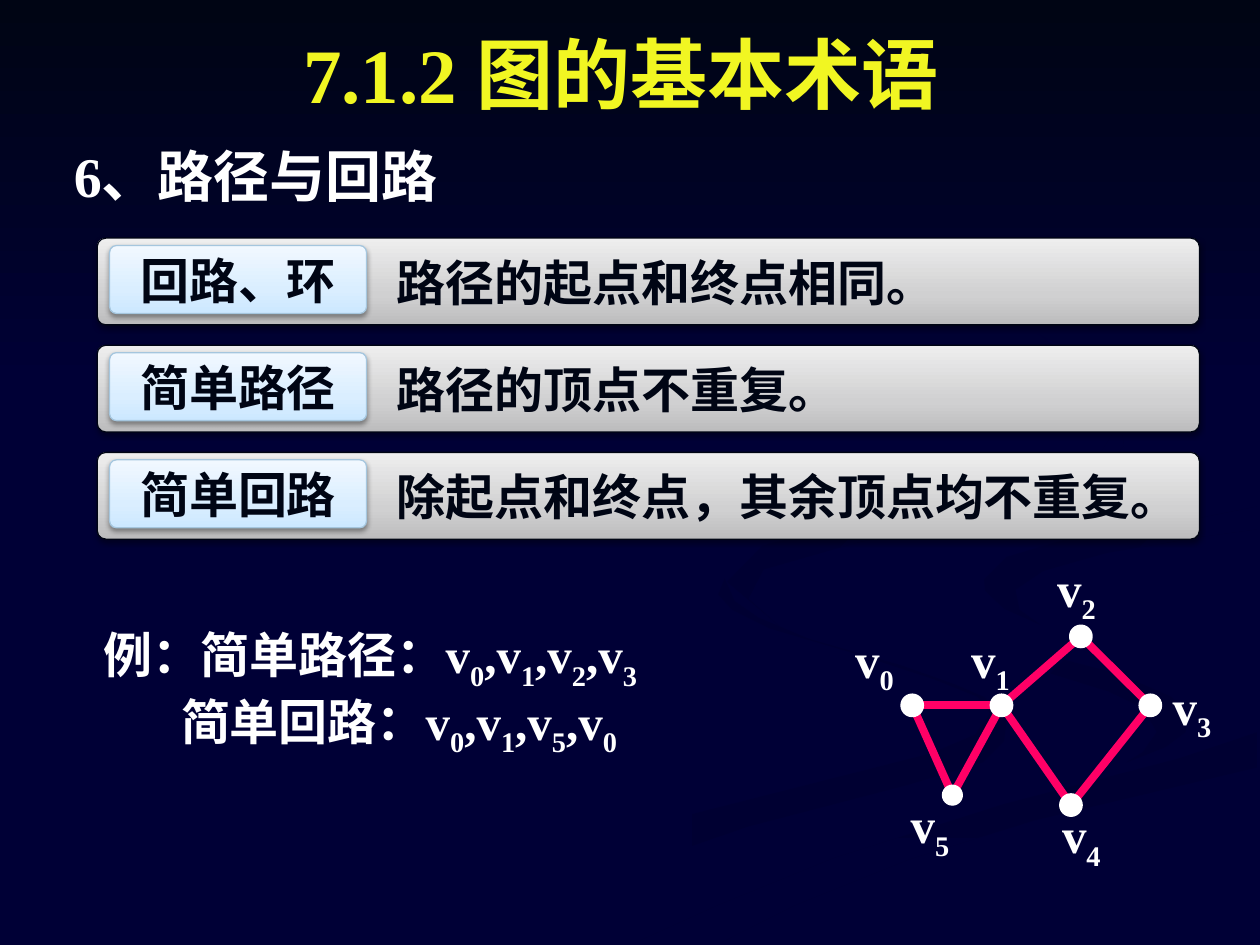
"""Build the slide on paths and circuits in graphs."""
from dataclasses import dataclass

from lxml.etree import SubElement
from pptx import Presentation
from pptx.dml.color import RGBColor
from pptx.enum.shapes import MSO_CONNECTOR, MSO_SHAPE
from pptx.enum.text import MSO_ANCHOR, MSO_AUTO_SIZE, PP_ALIGN
from pptx.oxml.ns import qn
from pptx.util import Cm, Pt

NAVY = RGBColor(0x00, 0x00, 0x36)
DEEP_NAVY = RGBColor(0x00, 0x00, 0x32)
INK = RGBColor(0x00, 0x05, 0x14)
YELLOW = RGBColor(0xF1, 0xF6, 0x22)
WHITE = RGBColor(0xFF, 0xFF, 0xFF)
PINK = RGBColor(0xFF, 0x00, 0x66)
TAG_EDGE = RGBColor(0xA5, 0xC6, 0xDE)
GREYS = ((0, RGBColor(0xBC, 0xBC, 0xBD)), (35, RGBColor(0xD0, 0xD0, 0xD1)),
         (100, RGBColor(0xEE, 0xEE, 0xEE)))
BLUES = ((0, RGBColor(0xCC, 0xE8, 0xFF)), (35, RGBColor(0xDA, 0xEE, 0xFF)),
         (100, RGBColor(0xF1, 0xF8, 0xFF)))
SKY = ((0, INK), (41, NAVY), (100, NAVY))
FONT = "Times New Roman"


@dataclass(frozen=True)
class Swoosh:
    outline: tuple
    angle: int
    stops: tuple = ((0, NAVY), (100, DEEP_NAVY))


@dataclass(frozen=True)
class Term:
    name: str
    meaning: str


@dataclass(frozen=True)
class Vertex:
    x: float
    y: float
    label_x: float
    label_y: float
    edge_width: float = 2.25


@dataclass(frozen=True)
class Example:
    lead: str
    indices: str
    indent: float


DARK_FIRST = ((0, DEEP_NAVY), (100, NAVY))
SWOOSHES = (
    Swoosh(((1984, 1405), (1923, 1379), (1816, 1341), (1631, 1288), (1529, 1245), (1481, 1212),
            (1461, 1166), (1448, 1199), (1476, 1229), (1552, 1267), (1725, 1318), (1882, 1369),
            (1971, 1405), (1996, 1438), (1966, 1481), (1877, 1519), (1656, 1575), (1369, 1648),
            (1059, 1753), (762, 1902), (917, 1902), (1184, 1778), (1509, 1666), (1831, 1582),
            (1981, 1537), (2024, 1494), (2029, 1455)), 0),
    Swoosh(((2395, 1448), (2362, 1405), (2256, 1359), (2060, 1308), (1925, 1265), (1862, 1227),
            (1839, 1179), (1847, 1217), (1895, 1270), (1984, 1316), (2129, 1361), (2235, 1394),
            (2304, 1427), (2332, 1476), (2304, 1516), (2271, 1537), (2350, 1506),
            (2390, 1476)), 45),
    Swoosh(((1278, 1902), (1450, 1902), (1600, 1826), (1834, 1732), (2085, 1654), (2535, 1547),
            (2535, 1476), (2377, 1529), (2024, 1621), (1681, 1730), (1445, 1826)),
           90, DARK_FIRST),
    Swoosh(((1984, 1168), (1986, 1191), (2024, 1227), (2098, 1260), (2055, 1229), (2047, 1189),
            (2103, 1151), (2230, 1115), (2423, 1082), (2535, 1067), (2535, 1021), (2370, 1054),
            (2156, 1085), (2029, 1123)), 45, DARK_FIRST),
    Swoosh(((1735, 1092), (1996, 1046), (2172, 993), (2266, 899), (2250, 803), (2141, 699),
            (1935, 592), (2098, 676), (2225, 777), (2258, 851), (2210, 927), (2078, 980),
            (1717, 1052), (1537, 1100), (1466, 1173), (1580, 1270), (1509, 1207),
            (1539, 1148)), 45, DARK_FIRST),
)
TERMS = (
    Term("回路、环", "路径的起点和终点相同。"),
    Term("简单路径", "路径的顶点不重复。"),
    Term("简单回路", "除起点和终点，其余顶点均不重复。"),
)
VERTICES = (
    Vertex(18.39, 14.22, 16.99, 12.57),
    Vertex(20.19, 14.22, 19.33, 12.57),
    Vertex(21.79, 12.83, 21.06, 11.13),
    Vertex(23.19, 14.22, 23.39, 13.51),
    Vertex(21.59, 16.23, 21.16, 16.1),
    Vertex(19.2, 16.03, 18.11, 15.9, 0.75),
)
EDGES = ((0, 1), (1, 4), (4, 3), (2, 3), (2, 1), (5, 0), (5, 1))
EXAMPLES = (Example("例：简单路径：", "0123", 0), Example("简单回路：", "0150", 1.57))


def set_gradient(fill, owner, stops: tuple, angle: int) -> None:
    fill.gradient()
    fill.gradient_angle = (360 - angle) % 360
    stop_list = next(owner.iter(qn("a:gsLst")))
    for old in list(stop_list):
        stop_list.remove(old)
    for position, color in stops:
        stop = SubElement(stop_list, qn("a:gs"), pos=str(position * 1000))
        SubElement(stop, qn("a:srgbClr"), val=str(color))


def add_run(paragraph, words: str, color: RGBColor, size: float = 28, subscript=False) -> None:
    run = paragraph.add_run()
    run.text = words
    run.font.name = FONT
    run.font.size = Pt(size)
    run.font.bold = True
    run.font.color.rgb = color
    if subscript:
        run.font._element.set("baseline", "-25000")


def add_vertex_name(paragraph, index: str, prefix: str = "") -> None:
    add_run(paragraph, prefix + "v", WHITE)
    add_run(paragraph, index, WHITE, subscript=True)


def add_swoosh(shapes, swoosh: Swoosh) -> None:
    start, *rest = swoosh.outline
    builder = shapes.build_freeform(*start, scale=Cm(0.01))
    builder.add_line_segments(rest)
    ribbon = builder.convert_to_shape()
    ribbon.shadow.inherit = False
    ribbon.line.fill.background()
    set_gradient(ribbon.fill, ribbon._element, swoosh.stops, swoosh.angle)


def add_panel(shapes, box: tuple, words: str, stops: tuple, edge: RGBColor, align):
    panel = shapes.add_shape(MSO_SHAPE.ROUNDED_RECTANGLE, *map(Cm, box))
    panel.adjustments[0] = 0.1
    set_gradient(panel.fill, panel._element, stops, 270)
    panel.line.color.rgb = edge
    panel.line.width = Pt(0.75)
    panel.shadow.inherit = False
    effects = panel._element.spPr.find(qn("a:effectLst"))
    shadow = SubElement(effects, qn("a:outerShdw"), blurRad=str(Pt(3.1)), dist=str(Pt(1.6)),
                        dir="5400000", rotWithShape="0")
    tint = SubElement(shadow, qn("a:srgbClr"), val="000000")
    SubElement(tint, qn("a:alpha"), val="38000")
    panel.text_frame.vertical_anchor = MSO_ANCHOR.MIDDLE
    paragraph = panel.text_frame.paragraphs[0]
    paragraph.alignment = align
    add_run(paragraph, words, INK)
    return panel


def add_term(shapes, term: Term, top: float) -> None:
    bar = add_panel(shapes, (1.96, top, 22.22, 1.75), term.meaning, GREYS, INK, PP_ALIGN.LEFT)
    bar.text_frame.margin_left = Cm(5.99)
    bar.text_frame.margin_right = Cm(0.3)
    add_panel(shapes, (2.21, top + 0.15, 5.18, 1.37), term.name, BLUES, TAG_EDGE,
              PP_ALIGN.CENTER)


def add_edge(shapes, begin: Vertex, end: Vertex) -> None:
    edge = shapes.add_connector(MSO_CONNECTOR.STRAIGHT, Cm(begin.x), Cm(begin.y),
                                Cm(end.x), Cm(end.y))
    edge.line.color.rgb = PINK
    edge.line.width = Pt(4.5)
    SubElement(edge._element.spPr, qn("a:effectLst"))


def add_vertex(shapes, vertex: Vertex, index: int) -> None:
    dot = shapes.add_shape(MSO_SHAPE.OVAL, Cm(vertex.x - 0.2), Cm(vertex.y - 0.2),
                           Cm(0.4), Cm(0.4))
    dot.shadow.inherit = False
    dot.fill.solid()
    dot.fill.fore_color.rgb = WHITE
    dot.line.color.rgb = WHITE
    dot.line.width = Pt(vertex.edge_width)
    label = shapes.add_textbox(Cm(vertex.label_x), Cm(vertex.label_y), Cm(1.35), Cm(1.45))
    label.text_frame.word_wrap = False
    label.text_frame.auto_size = MSO_AUTO_SIZE.SHAPE_TO_FIT_TEXT
    add_vertex_name(label.text_frame.paragraphs[0], str(index))


def add_example(paragraph, example: Example) -> None:
    paragraph._p.get_or_add_pPr().set("marL", str(Cm(example.indent)))
    add_run(paragraph, example.lead, WHITE)
    for place, index in enumerate(example.indices):
        add_vertex_name(paragraph, index, "," if place else "")


def main() -> None:
    deck = Presentation()
    deck.slide_width, deck.slide_height = Cm(25.4), Cm(19.05)
    slide = deck.slides.add_slide(deck.slide_layouts[5])
    shapes = slide.shapes
    set_gradient(slide.background.fill, slide._element, SKY, 90)
    for swoosh in SWOOSHES:
        add_swoosh(shapes, swoosh)

    title = shapes.title
    title.left, title.top, title.width, title.height = map(Cm, (1.09, 0.41, 22.86, 2.72))
    title.text_frame.vertical_anchor = MSO_ANCHOR.TOP
    title.text_frame.paragraphs[0].alignment = PP_ALIGN.CENTER
    add_run(title.text_frame.paragraphs[0], "7.1.2 图的基本术语", YELLOW, 44)

    section = shapes.add_textbox(*map(Cm, (1.24, 2.72, 22.86, 1.8)))
    section.text_frame.word_wrap = True
    add_run(section.text_frame.paragraphs[0], "6、路径与回路", WHITE, 32)

    for row, term in enumerate(TERMS):
        add_term(shapes, term, 4.8 + 2.16 * row)

    graph = shapes.add_group_shape().shapes
    for begin, end in EDGES:
        add_edge(graph, VERTICES[begin], VERTICES[end])
    for index, vertex in enumerate(VERTICES):
        add_vertex(graph, vertex, index)

    examples = shapes.add_textbox(*map(Cm, (1.83, 12.47, 15.19, 2.64))).text_frame
    examples.word_wrap = True
    add_example(examples.paragraphs[0], EXAMPLES[0])
    add_example(examples.add_paragraph(), EXAMPLES[1])
    deck.save("out.pptx")


if __name__ == "__main__":
    main()
